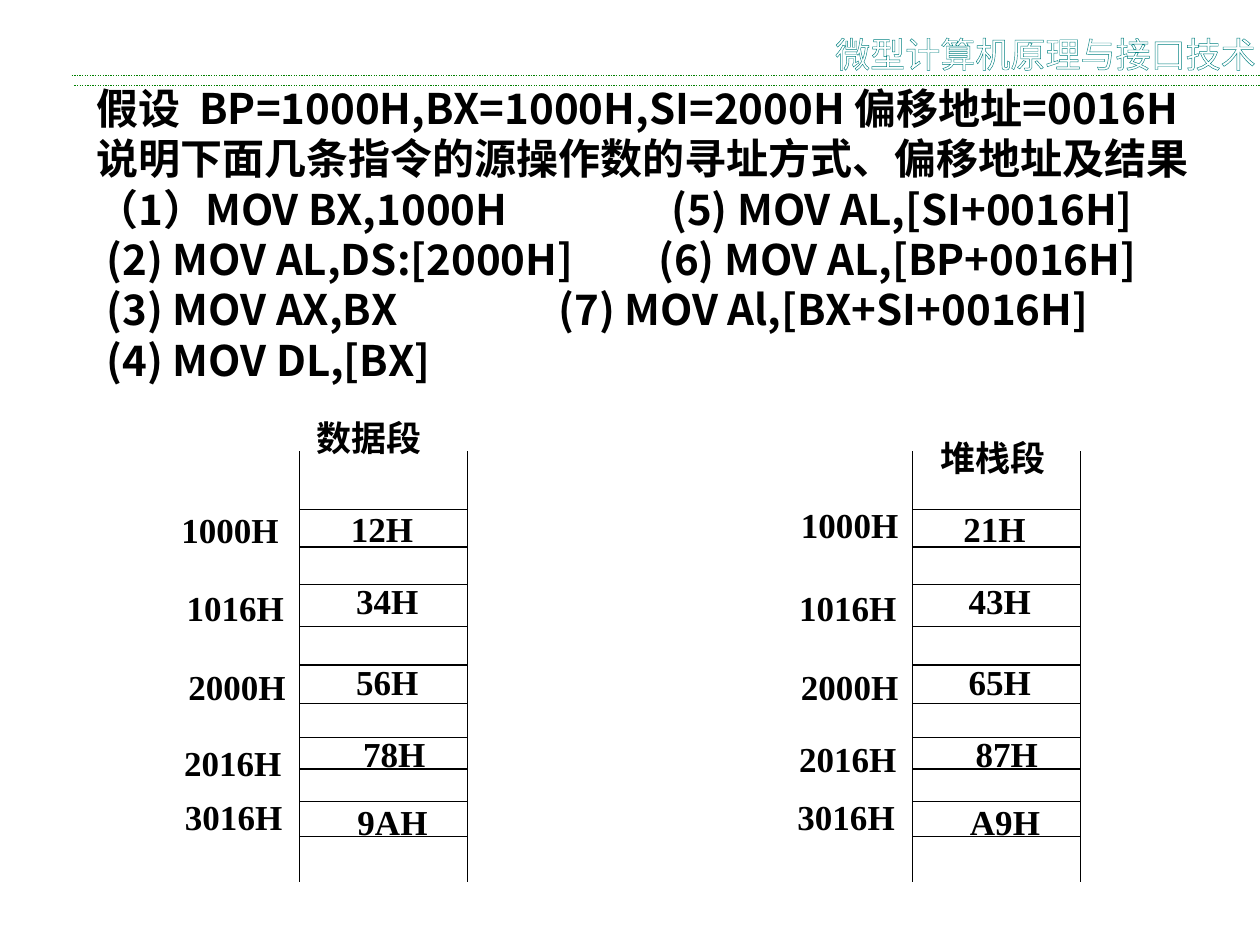
from dataclasses import dataclass
from typing import NamedTuple

from lxml.etree import SubElement
from pptx import Presentation
from pptx.dml.color import RGBColor
from pptx.enum.dml import MSO_LINE
from pptx.enum.shapes import MSO_CONNECTOR
from pptx.enum.text import MSO_ANCHOR, MSO_AUTO_SIZE, PP_ALIGN
from pptx.oxml import parse_xml
from pptx.oxml.ns import nsdecls, qn
from pptx.util import Pt

COLORS = {"ink": "000000", "header": "FFFFFF", "outline": "008080", "rule": "008000"}
SANS, SERIF = "Noto Sans CJK SC", "Times New Roman"
FRAME = {
    "margin_left": Pt(7.2), "margin_right": Pt(7.2),
    "margin_top": Pt(3.6), "margin_bottom": Pt(3.6),
    "word_wrap": True, "auto_size": MSO_AUTO_SIZE.NONE,
    "vertical_anchor": MSO_ANCHOR.TOP,
}
CJK_LEADING = 1.2  # line pitch as a multiple of the text size
EXERCISE_SIZE, EXERCISE_TOP = 24, 43.5
EXERCISE_PITCH = EXERCISE_SIZE * CJK_LEADING


class Spot(NamedTuple):
    text: str
    left: float
    top: float


class Exercise(NamedTuple):
    text: str
    indent: float = 0


@dataclass
class ExerciseColumn:
    left: float
    width: float
    first_line: int
    exercises: list[Exercise]


@dataclass
class Segment:
    wall: float
    name: Spot
    addresses: list[Spot]
    values: list[str]


EXERCISE_COLUMNS = [
    ExerciseColumn(48, 665, 0, [
        Exercise("假设  BP=1000H,BX=1000H,SI=2000H 偏移地址=0016H"),
        Exercise("说明下面几条指令的源操作数的寻址方式、偏移地址及结果"),
        Exercise("（1）MOV BX,1000H"),
        Exercise("(2) MOV AL,DS:[2000H]", 6),
        Exercise("(3) MOV AX,BX", 6),
        Exercise("(4) MOV DL,[BX]", 6),
    ]),
    ExerciseColumn(312, 400, 2, [
        Exercise("(5) MOV AL,[SI+0016H]", 64.5),
        Exercise("(6) MOV AL,[BP+0016H]", 57),
        Exercise("(7) MOV Al,[BX+SI+0016H]"),
    ]),
]

# Memory columns: wall heights, cell borders and value places are shared
WALL_TOP, WALL_BOTTOM, COLUMN_WIDTH = 258, 504, 96
BORDERS = [291, 312.5, 334, 358, 380, 402, 421.5, 439.5, 458, 478]
VALUE_PLACES = [(5, 286.5), (8, 327.5), (8, 374), (12, 415), (11, 454)]
SEGMENTS = [
    Segment(
        171.3, Spot("数据段", 169, 234.5),
        [Spot("1000H", 89.5, 287), Spot("1016H", 92.5, 331.5), Spot("2000H", 93.5, 376.5),
         Spot("2016H", 91, 420), Spot("3016H", 91.5, 451)],
        ["12H", "34H", "56H", "78H", "9AH"],
    ),
    Segment(
        521.3, Spot("堆栈段", 525.5, 246),
        [Spot("1000H", 443.5, 284), Spot("1016H", 442.5, 331.5), Spot("2000H", 443.5, 376.5),
         Spot("2016H", 442.5, 418), Spot("3016H", 441.5, 451)],
        ["21H", "43H", "65H", "87H", "A9H"],
    ),
]


def set_all(target, values: dict) -> None:
    for key, value in values.items():
        setattr(target, key, value)


def write(paragraph, text: str, size: float, face: str, color: str, bold: bool = True):
    run = paragraph.add_run()
    run.text = text
    set_all(run.font, {"size": Pt(size), "name": face, "bold": bold})
    run.font.color.rgb = RGBColor.from_string(COLORS[color])
    east_asian = SubElement(run.font._element, qn("a:ea"))
    east_asian.set("typeface", SANS)
    return run


def add_rule(slide, x1: float, y1: float, x2: float, y2: float, color: str = "ink"):
    rule = slide.shapes.add_connector(
        MSO_CONNECTOR.STRAIGHT, Pt(x1), Pt(y1), Pt(x2), Pt(y2))
    rule.line.width = Pt(0.75)
    rule.line.color.rgb = RGBColor.from_string(COLORS[color])
    SubElement(rule._element.spPr, qn("a:effectLst"))
    return rule


def add_label(slide, spot: Spot, cjk: bool = False) -> None:
    label = slide.shapes.add_textbox(Pt(spot.left), Pt(spot.top), Pt(84), Pt(31.5))
    set_all(label.text_frame, FRAME)
    paragraph = label.text_frame.paragraphs[0]
    paragraph.alignment = PP_ALIGN.CENTER
    if cjk:
        paragraph.line_spacing = Pt(20 * CJK_LEADING)
    write(paragraph, spot.text, 20, SERIF, "ink")


def add_header(slide) -> None:
    for left, y in ((42.5, 49), (41, 43)):
        add_rule(slide, left, y, 720, y, "rule").line.dash_style = MSO_LINE.ROUND_DOT
    header = slide.shapes.title
    set_all(header, {"left": Pt(475), "top": Pt(15), "width": Pt(245), "height": Pt(28)})
    set_all(header.text_frame, FRAME | {"margin_left": 0, "margin_right": 0,
                                        "word_wrap": False})
    paragraph = header.text_frame.paragraphs[0]
    set_all(paragraph, {"alignment": PP_ALIGN.CENTER, "line_spacing": Pt(20 * CJK_LEADING),
                        "space_before": Pt(0)})
    run = write(paragraph, "微型计算机原理与接口技术", 20, SANS, "header", bold=False)
    run.font._element.insert(0, parse_xml(
        f'<a:ln {nsdecls("a")} w="{Pt(0.75)}"><a:solidFill>'
        f'<a:srgbClr val="{COLORS["outline"]}"/></a:solidFill></a:ln>'))


def add_exercises(slide, column: ExerciseColumn) -> None:
    top = EXERCISE_TOP + column.first_line * EXERCISE_PITCH
    height = len(column.exercises) * EXERCISE_PITCH + 7.2
    box = slide.shapes.add_textbox(Pt(column.left), Pt(top), Pt(column.width), Pt(height))
    frame = box.text_frame
    set_all(frame, FRAME)
    for index, exercise in enumerate(column.exercises):
        paragraph = frame.add_paragraph() if index else frame.paragraphs[0]
        set_all(paragraph, {"alignment": PP_ALIGN.JUSTIFY,
                            "line_spacing": Pt(EXERCISE_PITCH)})
        properties = paragraph._p.get_or_add_pPr()
        properties.set("marL", "0")
        properties.set("indent", str(Pt(exercise.indent)))
        write(paragraph, exercise.text, EXERCISE_SIZE, SANS, "ink")


def add_segment(slide, segment: Segment) -> None:
    right = segment.wall + COLUMN_WIDTH
    for x in (segment.wall, right):
        add_rule(slide, x, WALL_TOP, x, WALL_BOTTOM)
    for y in BORDERS:
        add_rule(slide, segment.wall, y, right, y)
    add_label(slide, segment.name, cjk=True)
    for address in segment.addresses:
        add_label(slide, address)
    for value, (offset, top) in zip(segment.values, VALUE_PLACES):
        add_label(slide, Spot(value, segment.wall + offset, top))


def main() -> None:
    deck = Presentation()
    set_all(deck, {"slide_width": Pt(720), "slide_height": Pt(540)})
    slide = deck.slides.add_slide(deck.slide_layouts[5])
    add_header(slide)
    for column in EXERCISE_COLUMNS:
        add_exercises(slide, column)
    for segment in SEGMENTS:
        add_segment(slide, segment)
    deck.save("out.pptx")


if __name__ == "__main__":
    main()
